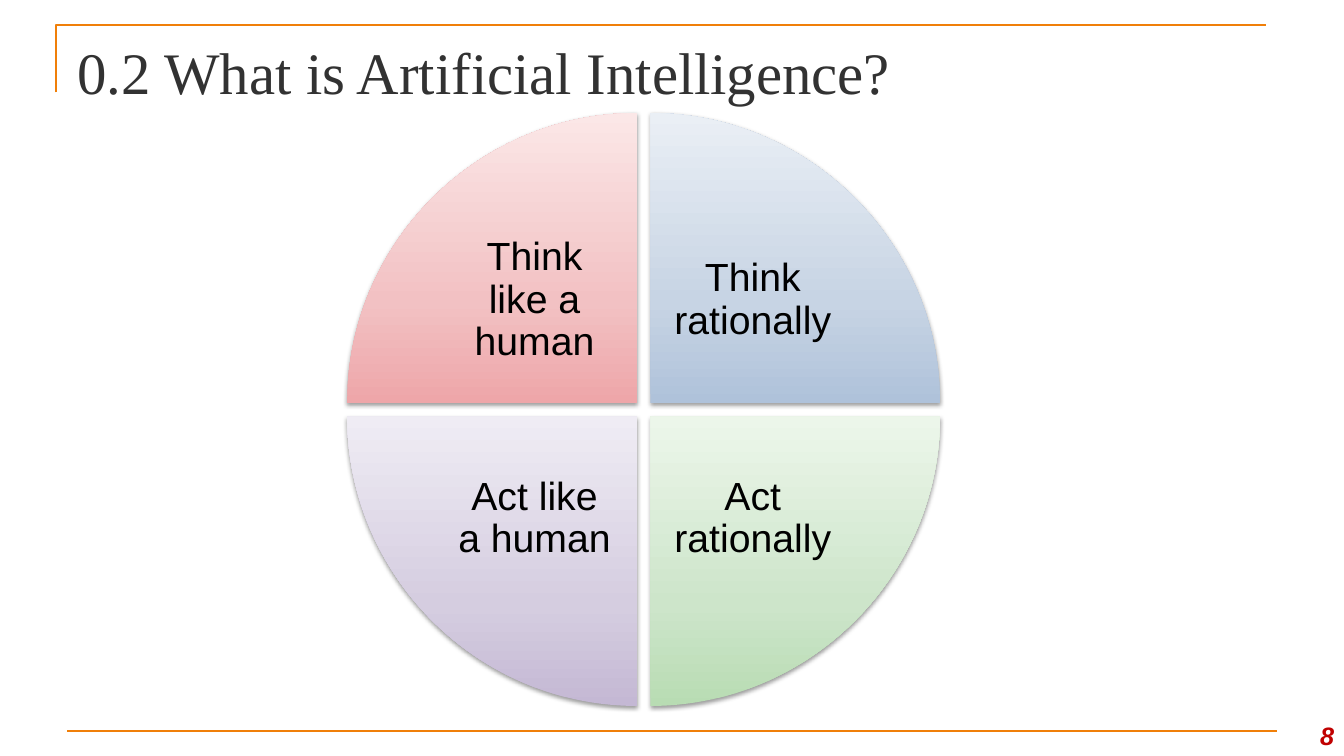
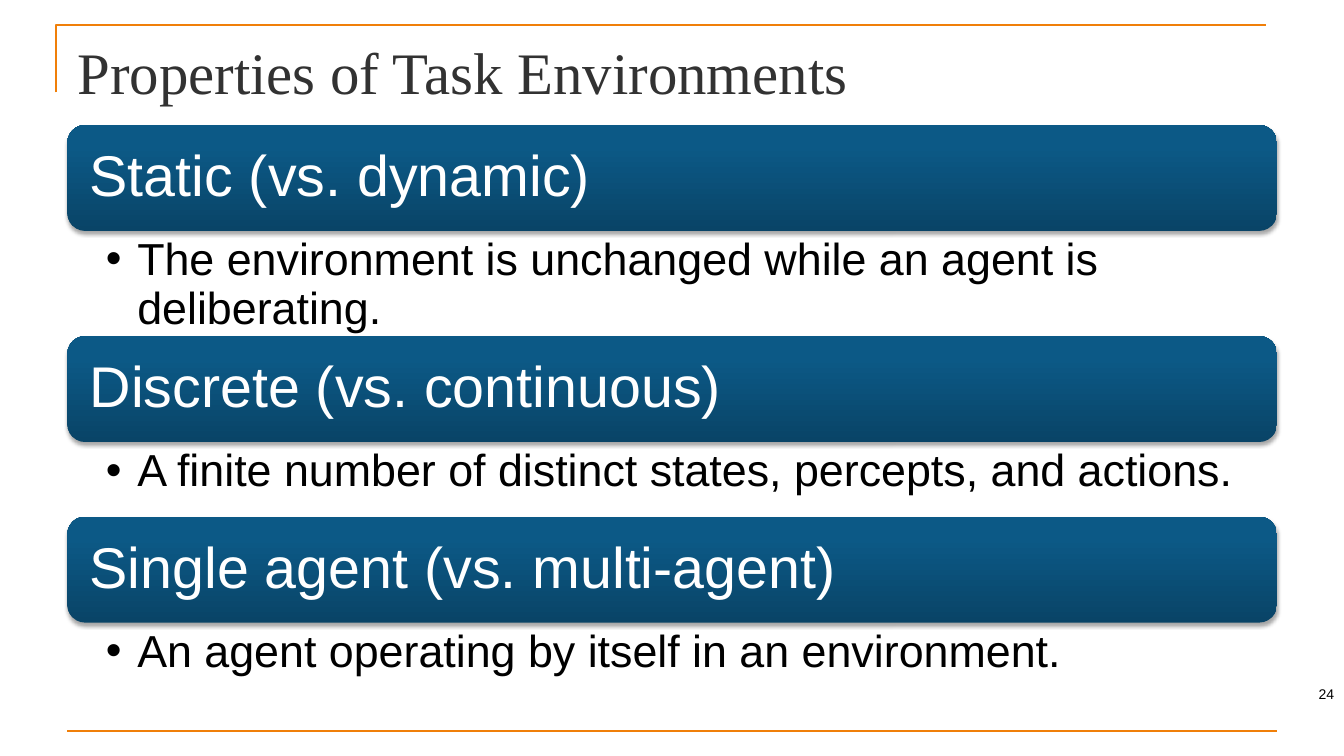
from lxml import etree
from pptx import Presentation
from pptx.dml.color import RGBColor
from pptx.enum.shapes import MSO_CONNECTOR, MSO_SHAPE
from pptx.enum.text import MSO_ANCHOR, PP_ALIGN
from pptx.oxml.ns import qn
from pptx.util import Cm, Pt

TOP, MIDDLE, BOTTOM = MSO_ANCHOR.TOP, MSO_ANCHOR.MIDDLE, MSO_ANCHOR.BOTTOM
LEFT, CENTER, RIGHT = PP_ALIGN.LEFT, PP_ALIGN.CENTER, PP_ALIGN.RIGHT
STRAIGHT = MSO_CONNECTOR.STRAIGHT
ROUND = MSO_SHAPE.ROUNDED_RECTANGLE

COLORS = {
    "rule": "F07F09", "title": "323232", "black": "000000",
    "white": "FFFFFF", "number": "C00000",
}
# Gradient stops run from the bottom edge (0) to the top edge (100).
BLENDS = {
    "red": {0: "EEA6A9", 35: "F2C1C3", 100: "FBE7E7"},
    "blue": {0: "AFC2DA", 35: "C7D4E4", 100: "EAEFF5"},
    "green": {0: "B8DCB3", 35: "CDE5CA", 100: "ECF6EA"},
    "purple": {0: "C4B8D4", 35: "D5CDE0", 100: "EFECF4"},
    "navy": {0: "094467", 80: "0C5986", 100: "0A5A89"},
}
FONTS = {
    "title": {"name": "Times New Roman", "size": Pt(42)},
    "wedge": {"name": "Arial", "size": Pt(28)},
    "head": {"name": "Arial", "size": Pt(41)},
    "detail": {"name": "Arial", "size": Pt(32)},
    "bold": {"name": "Arial", "size": Pt(18), "bold": True, "italic": True},
    "small": {"name": "Arial", "size": Pt(10)},
}
PARAS = {
    "left": {"alignment": LEFT},
    "right": {"alignment": RIGHT},
    "tight": {"alignment": LEFT, "line_spacing": 0.9},
    "center": {"alignment": CENTER, "line_spacing": 0.9},
}
SIDES = ("left", "top", "right", "bottom")
INSETS = (0.25, 0.13, 0.25, 0.13)

EDGE, WIDTH = 1.7, 30.48
RADIUS, GAP = 7.3, 0.34
HUB = (16.22, 10.32)
BEND = 0.55
BAR = 2.67

# text, blend, horizontal and vertical direction from the hub
WEDGES = [
    ("Think like a human", "red", -1, -1),
    ("Think rationally", "blue", 1, -1),
    ("Act rationally", "green", 1, 1),
    ("Act like a human", "purple", -1, 1),
]
# heading, detail, height of the detail
TRAITS = [
    ("Static (vs. dynamic)",
     "The environment is unchanged while an agent is deliberating.", 2.65),
    ("Discrete (vs. continuous)",
     "A finite number of distinct states, percepts, and actions.", 1.88),
    ("Single agent (vs. multi-agent)",
     "An agent operating by itself in an environment.", 1.88),
]


def assign(target, values):
    for key, value in values.items():
        setattr(target, key, value)


def write(shape, text, font, color, para="left", anchor=TOP, insets=INSETS):
    frame = shape.text_frame
    assign(frame, {"word_wrap": True, "vertical_anchor": anchor})
    assign(frame, {f"margin_{side}": Cm(inset)
                   for side, inset in zip(SIDES, insets)})
    line = frame.paragraphs[0]
    assign(line, PARAS[para])
    run = line.add_run()
    run.text = text
    assign(run.font, FONTS[font])
    run.font.color.rgb = RGBColor.from_string(COLORS[color])
    return line


def add_text(slide, box, *args, **options):
    shape = slide.shapes.add_textbox(*map(Cm, box))
    return write(shape, *args, **options)


def add_bullet(line):
    props = line._p.get_or_add_pPr()
    props.set("marL", str(Cm(0.79)))
    props.set("indent", str(-Cm(0.79)))
    etree.SubElement(props, qn("a:buFont"), typeface="Arial")
    etree.SubElement(props, qn("a:buChar"), char="•")


def add_outline(slide, points, close):
    spots = [(Cm(x), Cm(y)) for x, y in points]
    builder = slide.shapes.build_freeform(*spots[0])
    builder.add_line_segments(spots[1:], close=close)
    return builder.convert_to_shape()


def style_rule(line):
    line.color.rgb = RGBColor.from_string(COLORS["rule"])
    line.width = Pt(1.5)


def shade(shape, blend, alpha, drop):
    """Give a shape a vertical gradient, no outline and a soft shadow below."""
    shape.line.fill.background()
    shape.fill.gradient()
    shape.fill.gradient_angle = 90
    props = shape._element.spPr
    stops = props.find(".//" + qn("a:gsLst"))
    stops.clear()
    for place, color in BLENDS[blend].items():
        stop = etree.SubElement(stops, qn("a:gs"), pos=str(place * 1000))
        etree.SubElement(stop, qn("a:srgbClr"), val=color)
    shape.shadow.inherit = False
    glow = etree.SubElement(
        props.find(qn("a:effectLst")), qn("a:outerShdw"),
        blurRad=str(Pt(3.1)), dist=str(Pt(drop)), dir="5400000",
        rotWithShape="0")
    tint = etree.SubElement(glow, qn("a:srgbClr"), val=COLORS["black"])
    etree.SubElement(tint, qn("a:alpha"), val=str(alpha * 1000))


def add_slide(deck, title):
    """Add a slide with the corner rule, the foot rule and a title."""
    slide = deck.slides.add_slide(deck.slide_layouts[6])
    corner = add_outline(
        slide, [(1.42, 2.33), (1.42, 0.64), (1.42 + WIDTH, 0.64)], False)
    corner.fill.background()
    corner.shadow.inherit = False
    style_rule(corner.line)
    foot = slide.shapes.add_connector(
        STRAIGHT, Cm(EDGE), Cm(18.42), Cm(EDGE + WIDTH), Cm(18.42))
    style_rule(foot.line)
    etree.SubElement(foot._element.spPr, qn("a:effectLst"))
    add_text(slide, (EDGE, 0.76, WIDTH, 1.98), title, "title", "title")
    return slide


def round_edge(shape):
    """Turn the long side of a right triangle into a quarter circle."""
    props = shape._element.spPr
    hub, start, end = [(int(spot.get("x")), int(spot.get("y")))
                       for spot in props.iter(qn("a:pt"))]
    pulls = [[round(a + BEND * (b - c)) for a, b, c in zip(*trio)]
             for trio in ((start, end, hub), (end, start, hub))]
    side = props.findall(".//" + qn("a:lnTo"))[1]
    curve = etree.Element(qn("a:cubicBezTo"))
    for x, y in (*pulls, end):
        etree.SubElement(curve, qn("a:pt"), x=str(x), y=str(y))
    side.getparent().replace(side, curve)


def add_wedge(slide, text, blend, across, down):
    """Add a quarter disc whose square corner faces the hub."""
    x = HUB[0] + across * GAP / 2
    y = HUB[1] + down * GAP / 2
    shape = add_outline(
        slide, [(x, y), (x + across * RADIUS, y), (x, y + down * RADIUS)],
        True)
    round_edge(shape)
    shade(shape, blend, 38, 1.6)
    near, far = 0.58, 2.72
    sides = (near, far) if across > 0 else (far, near)
    ends = (near, far) if down > 0 else (far, near)
    write(shape, text, "wedge", "black", "center", MIDDLE,
          (sides[0], ends[0], sides[1], ends[1]))


def add_trait(slide, top, head, detail, height):
    bar = slide.shapes.add_shape(
        ROUND, Cm(EDGE), Cm(top), Cm(WIDTH), Cm(BAR))
    shade(bar, "navy", 35, 1.8)
    write(bar, head, "head", "white", "tight", MIDDLE, (0.43,) * 4)
    line = add_text(slide, (EDGE, top + BAR, WIDTH, height), detail, "detail",
                    "black", "tight", insets=(0.97, 0.15, 0.81, 0.15))
    add_bullet(line)


def main():
    deck = Presentation()
    assign(deck, {"slide_width": Cm(33.87), "slide_height": Cm(19.05)})

    slide = add_slide(deck, "0.2 What is Artificial Intelligence?")
    add_text(slide, (31.9, 17.78, 1.97, 1.27), "8", "bold", "number",
             "right", BOTTOM)
    for wedge in WEDGES:
        add_wedge(slide, *wedge)

    slide = add_slide(deck, "Properties of Task Environments")
    top = 3.15
    for head, detail, height in TRAITS:
        add_trait(slide, top, head, detail, height)
        top += BAR + height
    add_text(slide, (32.67, 16.97, 1.2, 1.02), "24", "small", "black",
             "right", MIDDLE)

    deck.save("out.pptx")


if __name__ == "__main__":
    main()
